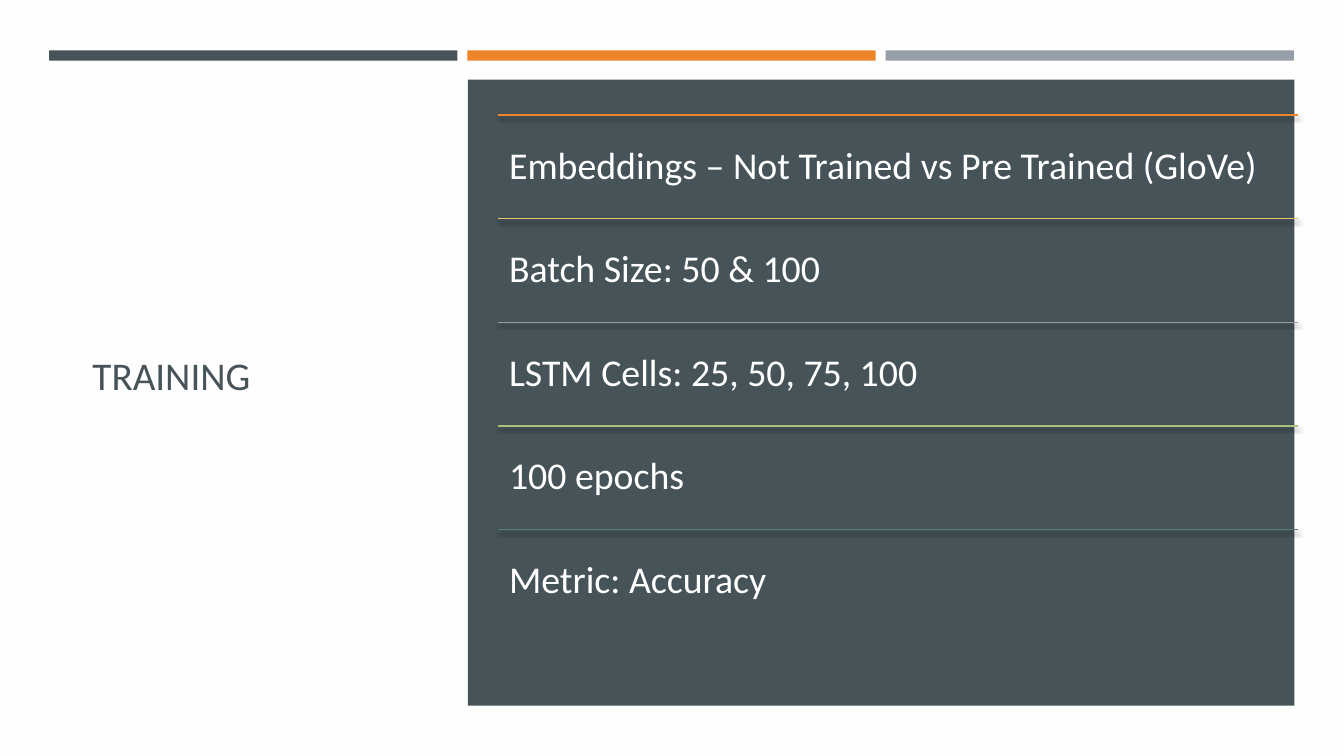
from lxml import etree
from pptx import Presentation
from pptx.dml.color import RGBColor
from pptx.enum.shapes import MSO_CONNECTOR, MSO_SHAPE
from pptx.enum.text import MSO_ANCHOR, MSO_AUTO_SIZE, PP_ALIGN
from pptx.oxml.ns import nsdecls
from pptx.util import Cm, Pt

STRAIGHT = MSO_CONNECTOR.STRAIGHT
RECTANGLE = MSO_SHAPE.RECTANGLE
MIDDLE = MSO_ANCHOR.MIDDLE
NO_AUTOFIT = MSO_AUTO_SIZE.NONE
LEFT = PP_ALIGN.LEFT

PAPER = RGBColor(0xFF, 0xFE, 0xFF)
WHITE = RGBColor(0xFF, 0xFF, 0xFF)
SLATE = RGBColor(0x46, 0x53, 0x59)
ORANGE = RGBColor(0xED, 0x84, 0x28)
GREY = RGBColor(0x96, 0x9F, 0xA7)
GOLD = RGBColor(0xE6, 0xC4, 0x6D)
GREEN = RGBColor(0xA9, 0xC3, 0x7C)
TEAL = RGBColor(0x5A, 0x80, 0x71)

RULE_SHADOW = (
    f'<a:effectLst {nsdecls("a")}>'
    '<a:outerShdw blurRad="38100" dist="25400" dir="5400000" rotWithShape="0">'
    '<a:srgbClr val="000000"><a:alpha val="55000"/></a:srgbClr>'
    '</a:outerShdw></a:effectLst>'
)

BAR_LEFT, BAR_TOP, BAR_WIDTH, BAR_HEIGHT, BAR_PITCH = 1.24, 1.27, 10.29, 0.26, 10.54
ROW_LEFT, ROW_TOP, ROW_WIDTH, ROW_HEIGHT = 12.55, 2.9, 20.17, 2.61

SETTINGS = [
    ("Embeddings – Not Trained vs Pre Trained (GloVe)", ORANGE),
    ("Batch Size: 50 & 100", GOLD),
    ("LSTM Cells: 25, 50, 75, 100", GREY),
    ("100 epochs", GREEN),
    ("Metric: Accuracy", TEAL),
]


class TrainingSlide:
    font_name = "Calibri"

    def __init__(self, presentation):
        self.slide = presentation.slides.add_slide(presentation.slide_layouts[5])
        backdrop = self.slide.background.fill
        backdrop.solid()
        backdrop.fore_color.rgb = PAPER

    def set_text(self, frame, words, size, color, inset, line_spacing):
        frame.text = words
        margins = ("margin_left", "margin_top", "margin_right", "margin_bottom")
        frame_format = {
            "word_wrap": True,
            "auto_size": NO_AUTOFIT,
            "vertical_anchor": MIDDLE,
            **dict.fromkeys(margins, Cm(inset)),
        }
        for name, value in frame_format.items():
            setattr(frame, name, value)
        paragraph = frame.paragraphs[0]
        paragraph.alignment = LEFT
        paragraph.line_spacing = line_spacing
        font = paragraph.runs[0].font
        for name, value in {"name": self.font_name, "size": Pt(size)}.items():
            setattr(font, name, value)
        font.color.rgb = color

    def title(self, words, left, top, width, height):
        heading = self.slide.shapes.title
        place = {"left": left, "top": top, "width": width, "height": height}
        for name, value in place.items():
            setattr(heading, name, Cm(value))
        self.set_text(heading.text_frame, words, 28, SLATE, 0.25, 1.0)

    def block(self, left, top, width, height, color):
        block = self.slide.shapes.add_shape(
            RECTANGLE, Cm(left), Cm(top), Cm(width), Cm(height))
        block.shadow.inherit = False
        block.fill.solid()
        block.fill.fore_color.rgb = color
        block.line.fill.background()

    def rule(self, shapes, left, top, width, color):
        rule = shapes.add_connector(
            STRAIGHT, Cm(left), Cm(top), Cm(left + width), Cm(top))
        rule.line.color.rgb = color
        rule.line.width = Pt(1)
        rule._element.spPr.append(etree.fromstring(RULE_SHADOW))

    def ruled_list(self, rows):
        shapes = self.slide.shapes.add_group_shape().shapes
        for index, (words, color) in enumerate(rows):
            top = ROW_TOP + index * ROW_HEIGHT
            self.rule(shapes, ROW_LEFT, top, ROW_WIDTH, color)
            setting = shapes.add_textbox(
                Cm(ROW_LEFT), Cm(top), Cm(ROW_WIDTH), Cm(ROW_HEIGHT))
            self.set_text(setting.text_frame, words, 27, WHITE, 0.28, 0.9)


def main():
    presentation = Presentation()
    presentation.slide_width = Cm(33.87)
    presentation.slide_height = Cm(19.05)

    training = TrainingSlide(presentation)
    training.title("TRAINING", 2.08, 2.9, 8.48, 13.08)
    for index, color in enumerate((SLATE, ORANGE, GREY)):
        training.block(BAR_LEFT + index * BAR_PITCH, BAR_TOP, BAR_WIDTH, BAR_HEIGHT, color)
    training.block(11.79, 2.01, 20.83, 15.77, SLATE)
    training.ruled_list(SETTINGS)

    presentation.save("out.pptx")


if __name__ == "__main__":
    main()
